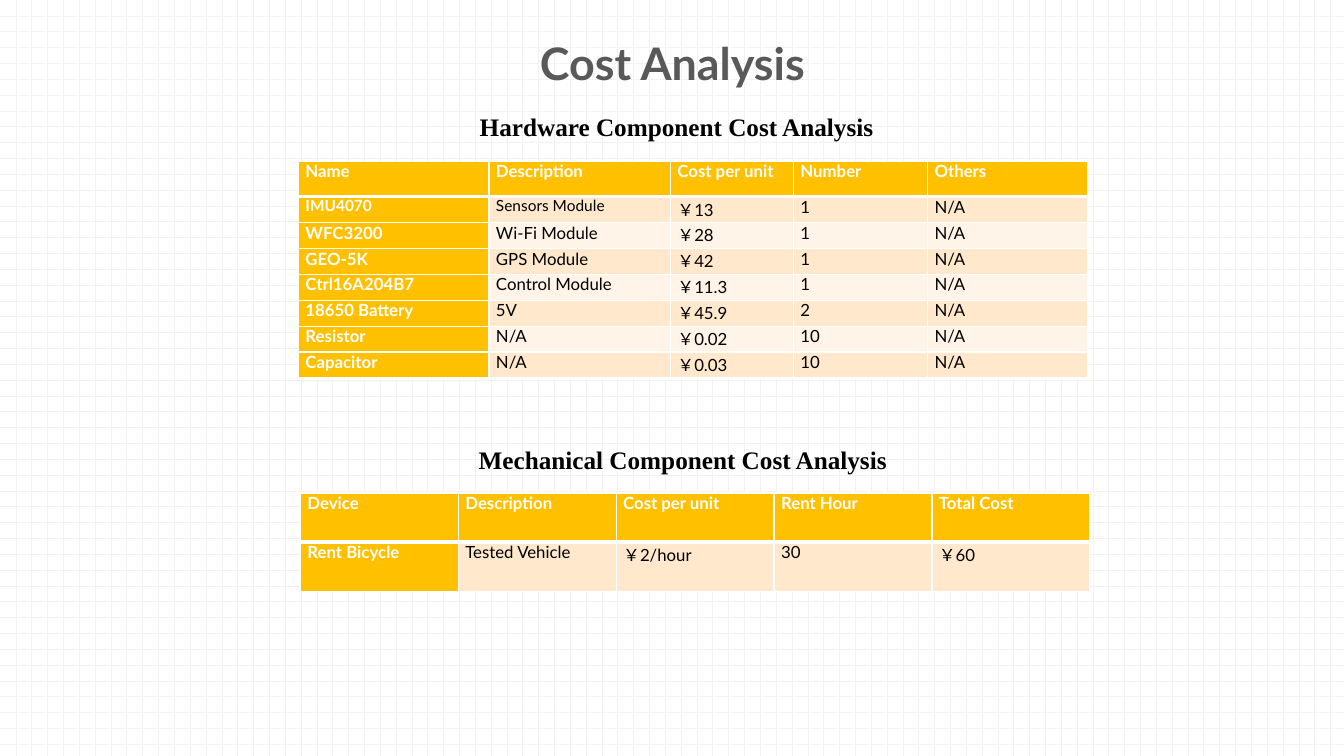
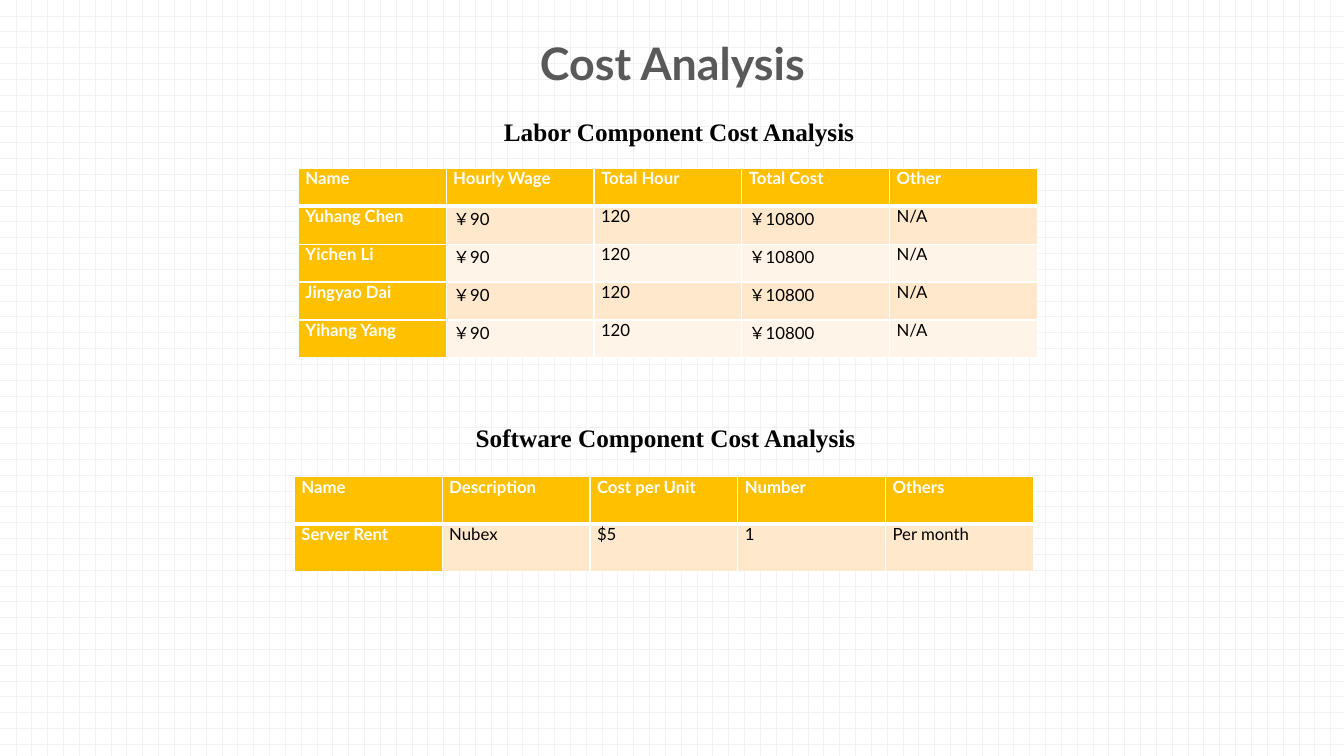
import dataclasses

import pptx
import pptx.dml.color
import pptx.enum.dml
import pptx.enum.text
import pptx.oxml
import pptx.oxml.ns
import pptx.util

Inches = pptx.util.Inches
Pt = pptx.util.Pt
Align = pptx.enum.text.PP_ALIGN
AutoSize = pptx.enum.text.MSO_AUTO_SIZE
Anchor = pptx.enum.text.MSO_ANCHOR


@dataclasses.dataclass(frozen=True)
class Theme:
    title: str = "595959"
    text: str = "000000"
    white: str = "FFFFFF"
    grid: str = "F2F2F2"
    accent: str = "FFC000"
    bands: tuple = ("FFE8CC", "FFF4E7")
    sans: str = "Lato"
    serif: str = "Times New Roman"
    title_size: int = 32
    heading_size: int = 18
    cell_size: int = 12
    small_size: int = 11
    thin: int = 1
    thick: int = 3


def rgb(color):
    return pptx.dml.color.RGBColor.from_string(color)


class Deck:
    def __init__(self, theme):
        self.theme = theme
        self.presentation = pptx.Presentation()
        self.presentation.slide_width = Inches(13.33)
        self.presentation.slide_height = Inches(7.5)
        self.slide = None
        backdrop = self.presentation.slide_master.background.fill
        backdrop.patterned()
        backdrop.pattern = pptx.enum.dml.MSO_PATTERN.DOTTED_GRID
        backdrop.fore_color.rgb = rgb(theme.grid)
        backdrop.back_color.rgb = rgb(theme.white)

    def style(self, paragraph, font, size, color, bold, align):
        paragraph.alignment = align
        paragraph.font.name = font
        paragraph.font.size = Pt(size)
        paragraph.font.bold = bold
        paragraph.font.color.rgb = rgb(color)

    def add_slide(self, title):
        layout = self.presentation.slide_layouts[5]
        self.slide = self.presentation.slides.add_slide(layout)
        heading = self.slide.shapes.title
        heading.left, heading.top = Inches(3.41), Inches(0.36)
        heading.width, heading.height = Inches(6.52), Inches(0.58)
        frame = heading.text_frame
        frame.text = title
        frame.auto_size = AutoSize.NONE
        frame.vertical_anchor = Anchor.MIDDLE
        paragraph = frame.paragraphs[0]
        paragraph.line_spacing = 0.9
        self.style(paragraph, self.theme.sans, self.theme.title_size,
                   self.theme.title, True, Align.CENTER)

    def add_heading(self, text, left, top):
        box = self.slide.shapes.add_textbox(
            Inches(left), Inches(top), Inches(6.67), Inches(0.4))
        frame = box.text_frame
        frame.word_wrap = True
        frame.auto_size = AutoSize.SHAPE_TO_FIT_TEXT
        frame.text = text
        self.style(frame.paragraphs[0], self.theme.serif,
                   self.theme.heading_size, self.theme.text, True, Align.LEFT)

    def add_borders(self, cell, row):
        widths = {"L": self.theme.thin, "R": self.theme.thin,
                  "T": self.theme.thick if row == 1 else self.theme.thin,
                  "B": self.theme.thick if row == 0 else self.theme.thin}
        properties = cell._tc.get_or_add_tcPr()
        for side, width in widths.items():
            properties.append(pptx.oxml.parse_xml(
                f'<a:ln{side} {pptx.oxml.ns.nsdecls("a")} w="{Pt(width)}">'
                f'<a:solidFill><a:srgbClr val="{self.theme.white}"/>'
                f'</a:solidFill></a:ln{side}>'))

    def fill_cell(self, cell, text, row, column, size):
        labelled = row == 0 or column == 0
        self.add_borders(cell, row)
        cell.margin_left = cell.margin_right = Inches(0.07)
        cell.margin_top = cell.margin_bottom = 0
        cell.fill.solid()
        cell.fill.fore_color.rgb = rgb(
            self.theme.accent if labelled else self.theme.bands[(row - 1) % 2])
        cell.text = text
        self.style(cell.text_frame.paragraphs[0], self.theme.sans, size,
                   self.theme.white if labelled else self.theme.text,
                   labelled, Align.JUSTIFY)

    def add_cost_table(self, rows, left, top, widths, header_height,
                       row_height, small_cells=()):
        height = header_height + row_height * (len(rows) - 1)
        table = self.slide.shapes.add_table(
            len(rows), len(widths), Inches(left), Inches(top),
            Inches(sum(widths)), Inches(height)).table
        table.first_col = True
        for column, width in zip(table.columns, widths):
            column.width = Inches(width)
        for r, texts in enumerate(rows):
            table.rows[r].height = Inches(row_height if r else header_height)
            for c, text in enumerate(texts):
                size = (self.theme.small_size if (r, c) in small_cells
                        else self.theme.cell_size)
                self.fill_cell(table.cell(r, c), text, r, c, size)

    def save(self):
        self.presentation.save("out.pptx")


HARDWARE = [
    ("Name", "Description", "Cost per unit", "Number", "Others"),
    ("IMU4070", "Sensors Module", "￥13", "1", "N/A"),
    ("WFC3200", "Wi-Fi Module", "￥28", "1", "N/A"),
    ("GEO-5K", "GPS Module", "￥42", "1", "N/A"),
    ("Ctrl16A204B7", "Control Module", "￥11.3", "1", "N/A"),
    ("18650 Battery", "5V", "￥45.9", "2", "N/A"),
    ("Resistor", "N/A", "￥0.02", "10", "N/A"),
    ("Capacitor", "N/A", "￥0.03", "10", "N/A"),
]
MECHANICAL = [
    ("Device", "Description", "Cost per unit", "Rent Hour", "Total Cost"),
    ("Rent Bicycle", "Tested Vehicle", "￥2/hour", "30", "￥60"),
]
WORKERS = ["Yuhang Chen", "Yichen Li", "Jingyao Dai", "Yihang Yang"]
LABOR = [("Name", "Hourly Wage", "Total Hour", "Total Cost", "Other")]
LABOR += [(worker, "￥90", "120", "￥10800", "N/A") for worker in WORKERS]
SOFTWARE = [
    ("Name", "Description", "Cost per Unit", "Number", "Others"),
    ("Server Rent", "Nubex", "$5", "1", "Per month"),
]


def main():
    deck = Deck(Theme())

    deck.add_slide("Cost Analysis")
    deck.add_heading("Hardware Component Cost Analysis", 4.66, 1.06)
    deck.add_cost_table(HARDWARE, 2.96, 1.6, [1.89, 1.8, 1.22, 1.33, 1.59],
                        0.35, 1.8 / 7, small_cells={(1, 0), (1, 1)})
    deck.add_heading("Mechanical Component Cost Analysis", 4.65, 4.36)
    deck.add_cost_table(MECHANICAL, 2.98, 4.89, [7.83 / 5] * 5, 0.49, 0.49)

    deck.add_slide("Cost Analysis")
    deck.add_heading("Labor Component Cost Analysis", 4.9, 1.11)
    deck.add_cost_table(LABOR, 2.96, 1.67, [7.33 / 5] * 5, 1.88 / 5, 1.88 / 5)
    deck.add_heading("Software Component Cost Analysis", 4.62, 4.14)
    deck.add_cost_table(SOFTWARE, 2.92, 4.73, [7.33 / 5] * 5, 0.47, 0.47)

    deck.save()


if __name__ == "__main__":
    main()
